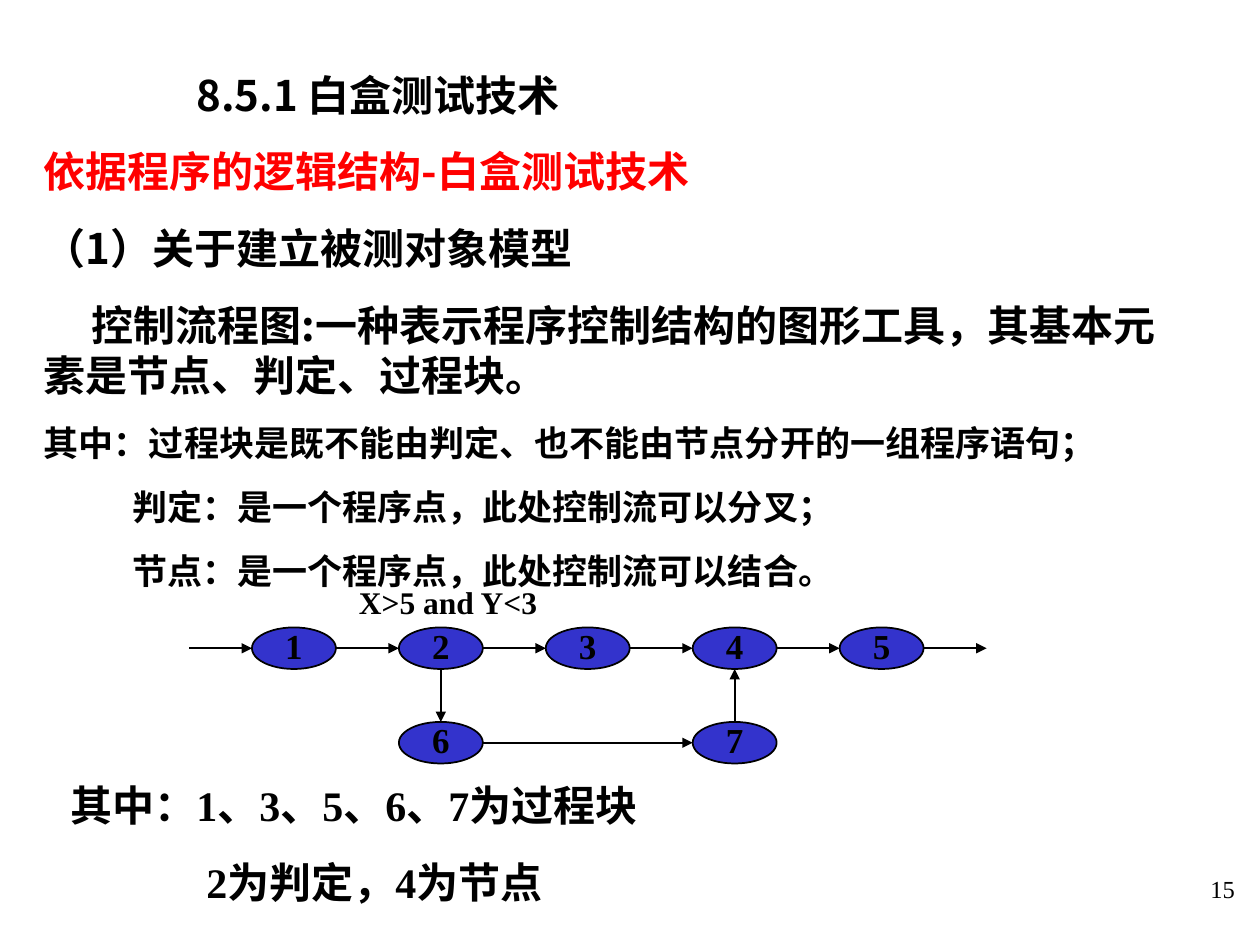
from lxml import etree
from pptx import Presentation
from pptx.dml.color import RGBColor
from pptx.enum.shapes import MSO_CONNECTOR, MSO_SHAPE
from pptx.enum.text import MSO_ANCHOR, PP_ALIGN
from pptx.oxml.ns import qn
from pptx.util import Inches, Pt

OVAL = MSO_SHAPE.OVAL
LINE = MSO_CONNECTOR.STRAIGHT
MIDDLE = MSO_ANCHOR.MIDDLE
LEFT, CENTER, RIGHT = PP_ALIGN.LEFT, PP_ALIGN.CENTER, PP_ALIGN.RIGHT

HEX = {"ink": "000000", "red": "FF0000", "node": "3333CC"}
SANS, SERIF = "Noto Sans CJK SC", "Times New Roman"
HEAD = {"size": Pt(24), "bold": True, "name": SANS}
BODY = {**HEAD, "size": Pt(20)}
NOTE = {**HEAD, "name": SERIF}
MARK = {**NOTE, "size": Pt(20)}
TEST = {**NOTE, "size": Pt(18)}
PAGE = {**NOTE, "size": Pt(14), "bold": False}


def color(name):
    return RGBColor.from_string(HEX[name])


def style(obj, form):
    for key, value in form.items():
        setattr(obj, key, value)


def write(para, text, form, tint="ink", align=LEFT, dent=0, first=0):
    para.alignment = align
    props = para._p.get_or_add_pPr()
    props.set("marL", str(Inches(dent)))
    props.set("indent", str(Inches(first)))
    run = para.add_run()
    run.text = text
    style(run.font, form)
    run.font.color.rgb = color(tint)
    etree.SubElement(run._r.get_or_add_rPr(), qn("a:ea"), typeface=SANS)


def add_text(slide, box, rows, wrap=True, side=0.1):
    frame = slide.shapes.add_textbox(*map(Inches, box)).text_frame
    style(frame, {"word_wrap": wrap, "margin_left": Inches(side),
                  "margin_right": Inches(side)})
    for i, (text, form, more) in enumerate(rows):
        para = frame.add_paragraph() if i else frame.paragraphs[0]
        write(para, text, form, **more)
        if i:
            para.space_before = Pt(form["size"].pt * 0.625)


def add_node(slide, box, text):
    shape = slide.shapes.add_shape(OVAL, *map(Inches, box))
    shape.shadow.inherit = False
    shape.fill.solid()
    shape.fill.fore_color.rgb = color("node")
    shape.line.color.rgb = color("ink")
    shape.line.width = Pt(1)
    frame = shape.text_frame
    style(frame, {"word_wrap": False, "vertical_anchor": MIDDLE,
                  "margin_left": 0, "margin_right": 0,
                  "margin_top": 0, "margin_bottom": Inches(0.05)})
    write(frame.paragraphs[0], text, MARK, align=CENTER)


def add_arrow(slide, start, end):
    link = slide.shapes.add_connector(LINE, *map(Inches, (*start, *end)))
    link.line.color.rgb = color("ink")
    link.line.width = Pt(1)
    etree.SubElement(link.line._get_or_add_ln(), qn("a:tailEnd"),
                     type="triangle")
    etree.SubElement(link._element.spPr, qn("a:effectLst"))


def add_intro(slide, box):
    add_text(slide, box, [
        ("8.5.1 白盒测试技术", HEAD, {"dent": 1.21}),
        ("依据程序的逻辑结构-白盒测试技术", HEAD, {"tint": "red"}),
        ("（1）关于建立被测对象模型", HEAD, {}),
        ("控制流程图:一种表示程序控制结构的图形工具，其基本元素是节点、判定、过程块。",
         HEAD, {"first": 0.38}),
        ("其中：过程块是既不能由判定、也不能由节点分开的一组程序语句；", BODY, {}),
        ("判定：是一个程序点，此处控制流可以分叉；", BODY, {"dent": 0.7}),
        ("节点：是一个程序点，此处控制流可以结合。", BODY, {"dent": 0.7}),
    ])


def add_flow(slide, box):
    left, top, wide, high = box
    gap = 0.5
    node_w, node_h = (wide - 6 * gap) / 5, 0.33
    step = node_w + gap
    upper, lower = top + 0.4, top + high - node_h

    def col(i):
        return left + gap + i * step

    def mid(y):
        return y + node_h / 2

    for i in range(6):
        add_arrow(slide, (col(i) - gap, mid(upper)), (col(i), mid(upper)))
    fork, join = (col(i) + node_w / 2 for i in (1, 3))
    add_arrow(slide, (fork, upper + node_h), (fork, lower))
    add_arrow(slide, (col(1) + node_w, mid(lower)), (col(3), mid(lower)))
    add_arrow(slide, (join, lower), (join, upper + node_h))
    spots = [(i, upper) for i in range(5)] + [(1, lower), (3, lower)]
    for num, (i, y) in enumerate(spots, 1):
        add_node(slide, (col(i), y, node_w, node_h), str(num))
    add_text(slide, (left + 1.25, top, 1.62, 0.4),
             [("X>5 and Y<3", TEST, {})], wrap=False)


def add_key(slide, box):
    add_text(slide, box, [
        ("其中：1、3、5、6、7为过程块", NOTE, {}),
        ("2为判定，4为节点", NOTE, {"dent": 1.08}),
    ])


def add_page(slide, box):
    add_text(slide, box, [("15", PAGE, {"align": RIGHT})], side=0)


def main():
    deck = Presentation()
    deck.slide_width, deck.slide_height = Inches(10), Inches(7.5)
    slide = deck.slides.add_slide(deck.slide_layouts[6])
    add_page(slide, (9.21, 6.89, 0.59, 0.33))
    add_intro(slide, (0.25, 0.5, 9.33, 4.86))
    add_flow(slide, (1.5, 4.58, 6.33, 1.48))
    add_key(slide, (0.46, 6.14, 5.5, 1.11))
    deck.save("out.pptx")


if __name__ == "__main__":
    main()
